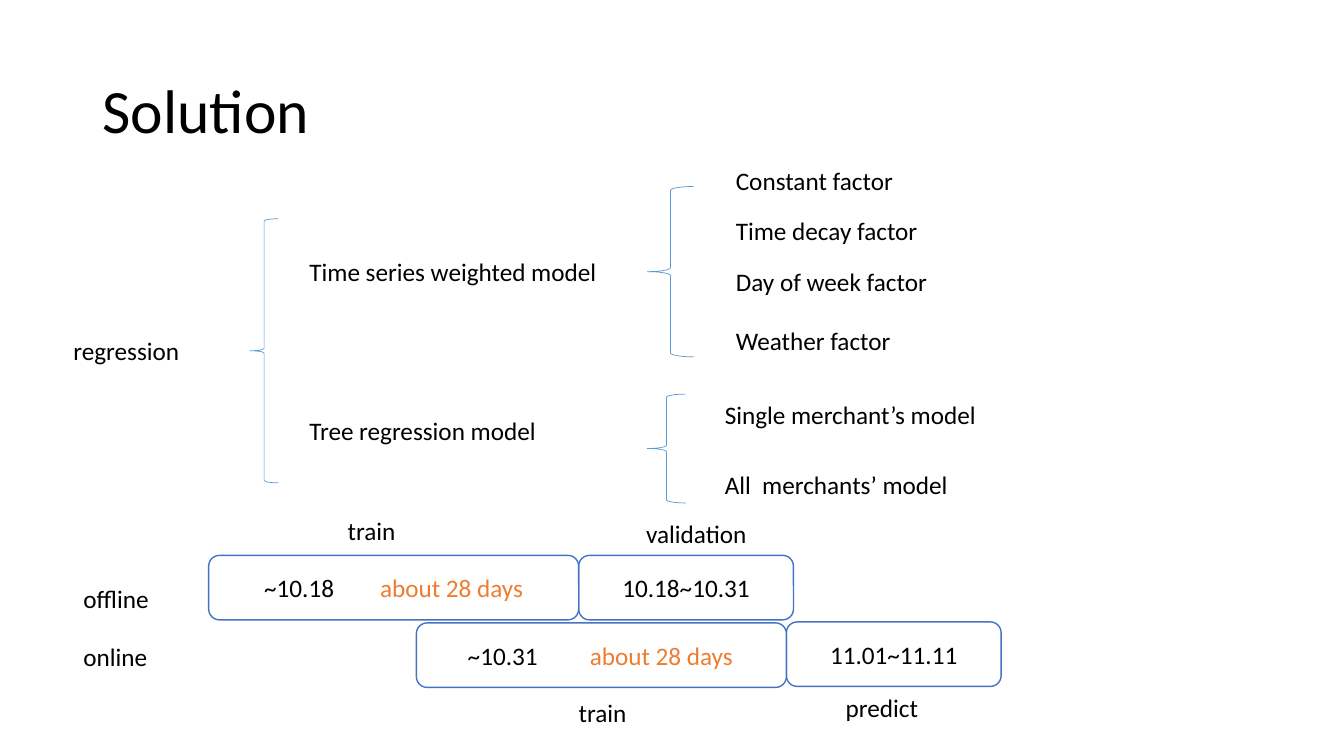
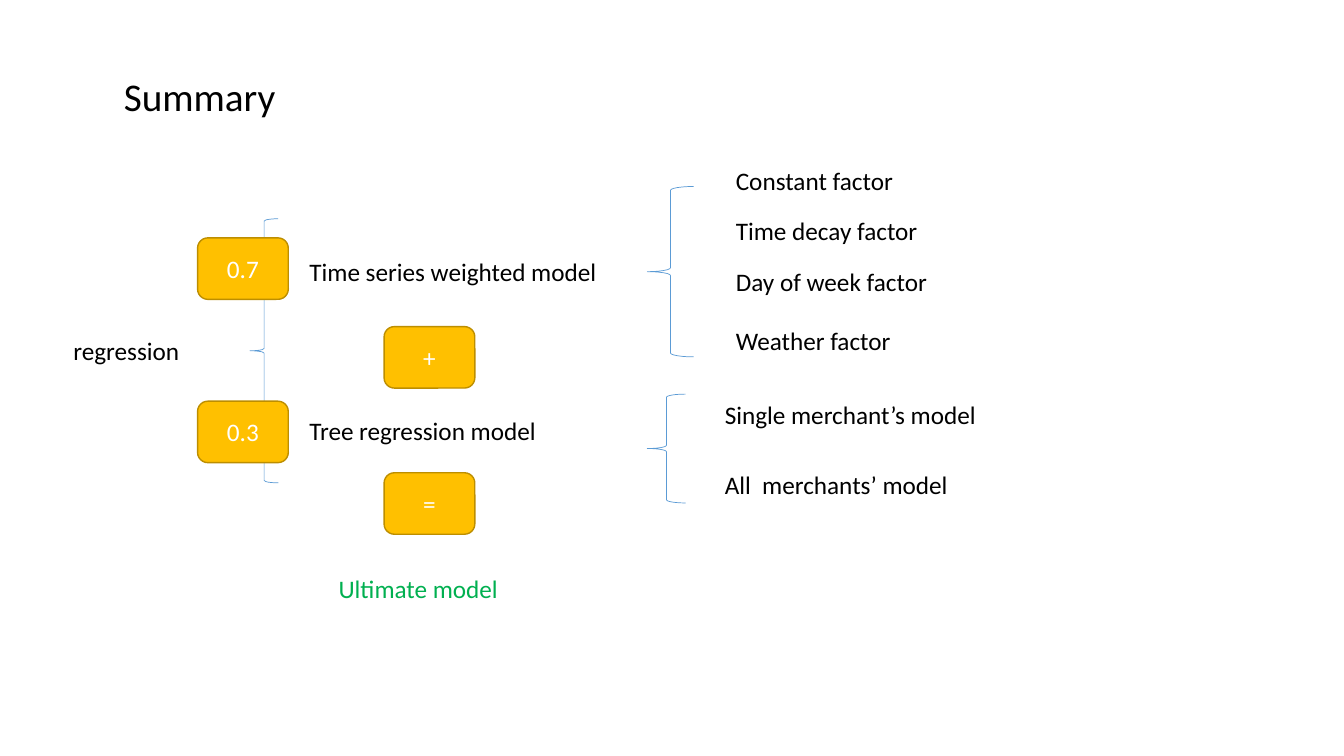
import pptx
import pptx.util
import pptx.dml.color
import pptx.enum.shapes
import pptx.enum.text
import pptx.oxml.ns
import lxml.etree

Inches = pptx.util.Inches
SHAPES = pptx.enum.shapes.MSO_SHAPE
ANCHOR = pptx.enum.text.MSO_ANCHOR
ALIGN = pptx.enum.text.PP_ALIGN

COLORS = {
    "text": "000000", "white": "FFFFFF", "brace": "5B9BD5", "period": "4472C4",
    "accent": "ED7D31", "badge": "FFC000", "badge_line": "BD8E00", "result": "00B050",
}
FONT = "Calibri"
LABEL_HEIGHT = 0.4

# Model tree on both slides: braces (left, top, width, height), labels by column
BRACES = [(2.48, 2.17, 0.28, 2.62), (6.42, 1.85, 0.46, 1.69), (6.42, 3.91, 0.38, 1.08)]
TREE_COLUMNS = [  # left, width, [(top, text)]
    (0.63, 1.7, [(3.28, "regression")]),
    (2.97, 3.17, [(2.49, "Time series weighted model"), (4.07, "Tree regression model")]),
    (7.2, 3.03, [(1.59, "Constant factor"), (2.09, "Time decay factor"),
                 (2.59, "Day of week factor"), (3.18, "Weather factor")]),
    (7.09, 3.03, [(3.91, "Single merchant’s model"), (4.61, "All  merchants’ model")]),
]

# Solution: time line
TRAIN_WIDTH, TEST_WIDTH, PERIOD_HEIGHT = 3.67, 2.13, 0.64
TRAIN_NOTE = "about 28 days"
PERIODS = [  # train left, train top, test top, train dates, tab stops, test dates
    (2.07, 5.51, 5.51, "~10.18", (0.42, 1.57), "10.18~10.31"),
    (4.13, 6.18, 6.17, "~10.31", (0.38, 1.59), "11.01~11.11"),
]
PERIOD_LABELS = [  # left, top, width, text
    (6.31, 5.09, 1.56, "validation"), (8.29, 6.82, 1.56, "predict"),
    (3.35, 5.06, 0.78, "train"), (5.64, 6.87, 0.78, "train"),
    (0.73, 5.74, 0.96, "offline"), (0.73, 6.31, 0.96, "online"),
]

# Summary: weights and operators
BADGE_SIZE = (0.9, 0.61)
BADGES = [(1.96, 2.36, "0.7"), (1.96, 3.98, "0.3"), (3.81, 3.24, "+"), (3.81, 4.69, "=")]


def rgb(name):
    return pptx.dml.color.RGBColor.from_string(COLORS[name])


def add_run(paragraph, text, color="text", size=18):
    run = paragraph.add_run()
    run.text = text
    run.font.name = FONT
    run.font.size = pptx.util.Pt(size)
    run.font.color.rgb = rgb(color)


def add_label(slide, left, top, width, text, height=LABEL_HEIGHT, color="text", size=18):
    box = slide.shapes.add_textbox(Inches(left), Inches(top), Inches(width), Inches(height))
    box.text_frame.word_wrap = True
    add_run(box.text_frame.paragraphs[0], text, color, size)
    return box


def add_outline(slide, kind, at, line, line_width, fill=None):
    shape = slide.shapes.add_shape(kind, *map(Inches, at))
    shape.shadow.inherit = False
    shape.line.color.rgb = rgb(line)
    shape.line.width = pptx.util.Pt(line_width)
    if fill:
        shape.fill.solid()
        shape.fill.fore_color.rgb = rgb(fill)
    else:
        shape.fill.background()
    return shape


def add_box(slide, at, fill, line):
    """Add a rounded box and return its centred paragraph."""
    shape = add_outline(slide, SHAPES.ROUNDED_RECTANGLE, at, line, 1, fill)
    shape.text_frame.vertical_anchor = ANCHOR.MIDDLE
    paragraph = shape.text_frame.paragraphs[0]
    paragraph.alignment = ALIGN.CENTER
    return paragraph


def set_tab_stops(paragraph, positions):
    qn = pptx.oxml.ns.qn
    paragraph.alignment = ALIGN.LEFT
    tabs = lxml.etree.SubElement(paragraph._p.get_or_add_pPr(), qn("a:tabLst"))
    for position in positions:
        lxml.etree.SubElement(tabs, qn("a:tab"), pos=str(Inches(position)), algn="l")


def add_model_tree(slide):
    for at in BRACES:
        add_outline(slide, SHAPES.LEFT_BRACE, at, "brace", 0.5)
    for left, width, labels in TREE_COLUMNS:
        for top, text in labels:
            add_label(slide, left, top, width, text)


def build_solution(slide):
    title = add_label(slide, 0.92, 0.4, 11.5, "Solution", height=1.45, size=44)
    title.text_frame.vertical_anchor = ANCHOR.MIDDLE
    title.text_frame.paragraphs[0].line_spacing = 0.9
    add_model_tree(slide)

    # Test periods start where training ends
    for left, train_top, test_top, train_dates, stops, test_dates in PERIODS:
        test_at = (left + TRAIN_WIDTH, test_top, TEST_WIDTH, PERIOD_HEIGHT)
        add_run(add_box(slide, test_at, "white", "period"), test_dates)
        train_at = (left, train_top, TRAIN_WIDTH, PERIOD_HEIGHT)
        paragraph = add_box(slide, train_at, "white", "period")
        set_tab_stops(paragraph, stops)
        add_run(paragraph, f"\t{train_dates}\t")
        add_run(paragraph, TRAIN_NOTE, "accent")
    for label in PERIOD_LABELS:
        add_label(slide, *label)


def build_summary(slide):
    add_model_tree(slide)
    add_label(slide, 1.13, 0.67, 5.08, "Summary", height=0.57, size=28)
    for left, top, text in BADGES:
        add_run(add_box(slide, (left, top, *BADGE_SIZE), "badge", "badge_line"), text, "white")
    add_label(slide, 3.26, 5.64, 3.17, "Ultimate model", color="result")


def main():
    presentation = pptx.Presentation()
    presentation.slide_width = Inches(13.33)
    presentation.slide_height = Inches(7.5)
    for build in (build_solution, build_summary):
        build(presentation.slides.add_slide(presentation.slide_layouts[6]))
    presentation.save("out.pptx")


if __name__ == "__main__":
    main()
